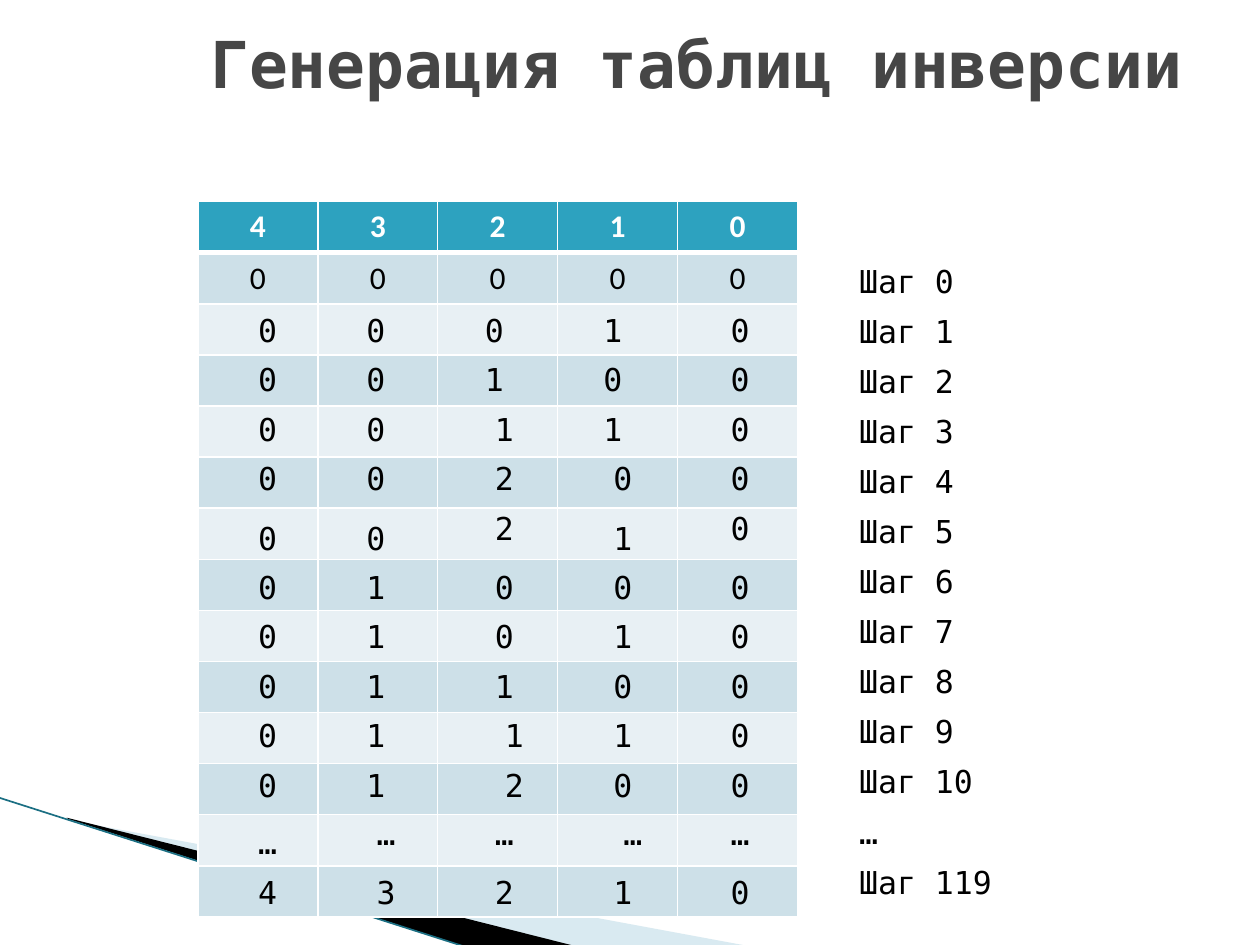
import pptx
import pptx.util
import pptx.dml.color
import pptx.enum.text
import pptx.enum.shapes
from lxml import etree

Inch, Pt = pptx.util.Inches, pptx.util.Pt
RGB = pptx.dml.color.RGBColor
ALIGN, ANCHOR = pptx.enum.text.PP_ALIGN, pptx.enum.text.MSO_ANCHOR
FIT = pptx.enum.text.MSO_AUTO_SIZE

WHITE, BLACK, GREY = RGB(255, 255, 255), RGB(0, 0, 0), RGB(0x46, 0x46, 0x46)
HEAD, BAND, PALE = RGB(0x2D, 0xA2, 0xBF), RGB(0xCD, 0xE0, 0xE8), RGB(0xE8, 0xF0, 0xF4)
SKY, TEAL = RGB(0xA0, 0xCB, 0xDC), RGB(0x1B, 0x6F, 0x83)
MONO = "DejaVu Sans Mono"
NS = "http://schemas.openxmlformats.org/drawingml/2006/main"

TITLE = "Генерация таблиц инверсии"
TOP = "43210"
ZERO = "00000"
# Digits of each step, with the indent of each digit in nudges
STEPS = [
    ("00010", "00000"), ("00100", "00000"), ("00110", "00100"),
    ("00200", "00110"), ("00210", "00110"), ("01000", "00110"),
    ("01010", "00110"), ("01100", "00110"), ("01110", "00210"),
    ("01200", "00210"), ("…" * 5, "01120"), ("43210", "01110"),
]
LABELS = [f"Шаг {n}" for n in range(11)] + ["…", "Шаг 119"]

LEFTS = [1.95, 2.81, 3.75, 4.69, 5.7]
NUDGE, PITCH, START = 0.08, 0.392, 2.42
BOX_W, BOX_H = 0.34, 0.4
WAVES = [
    ([(0.55, 6.51), (5.95, 7.51), (4.56, 7.51), (0.55, 6.5)], SKY, 40),
    ([(0.53, 6.49), (4.57, 7.51), (3.72, 7.52), (0.54, 6.5)], BLACK, 100),
]
BODY = {"name": MONO, "size": Pt(18), "bold": False}
PLAIN = {"name": "Calibri", "size": Pt(18), "bold": False}
BIG = {"name": MONO, "size": Pt(36.9), "bold": True}


def style(run, form, color):
    """Give a run its font values and colour."""
    for key, value in form.items():
        setattr(run.font, key, value)
    run.font.color.rgb = color


def write(slide, area, lines, form=BODY, color=BLACK, wrap=True, gaps=None, **frame):
    """Add a text box with one paragraph a line."""
    text = slide.shapes.add_textbox(*map(Inch, area)).text_frame
    text.word_wrap = wrap
    for key, value in frame.items():
        setattr(text, key, value)
    for i, line in enumerate(lines):
        para = text.paragraphs[0] if i == 0 else text.add_paragraph()
        for key, value in (gaps or {}).items():
            setattr(para, key, value)
        run = para.add_run()
        run.text = line
        style(run, form, color)


def draw_waves(slide):
    """Draw the corner wedges and the line above them."""
    for points, color, alpha in WAVES:
        path = slide.shapes.build_freeform(*map(Inch, points[0]))
        path.add_line_segments([tuple(map(Inch, p)) for p in points[1:]])
        wedge = path.convert_to_shape()
        wedge.shadow.inherit = False
        wedge.fill.solid()
        wedge.fill.fore_color.rgb = color
        wedge.line.fill.background()
        if alpha < 100:
            tint = wedge.fill._xPr.find(f".//{{{NS}}}srgbClr")
            etree.SubElement(tint, f"{{{NS}}}alpha", val=str(alpha * 1000))
    kind = pptx.enum.shapes.MSO_CONNECTOR.STRAIGHT
    edge = slide.shapes.add_connector(kind, *map(Inch, (-0.01, 6.33, 3.71, 7.52)))
    edge.line.color.rgb = TEAL
    edge.line.width = Pt(0.95)
    etree.SubElement(edge._element.spPr, f"{{{NS}}}effectLst")


def rule_cell(cell, base):
    """Put white borders round a cell, with its own width below."""
    props = cell._tc.get_or_add_tcPr()
    for side, width in zip("LRTB", (1, 1, 1, base)):
        line = etree.SubElement(props, f"{{{NS}}}ln{side}", w=str(Pt(width)))
        fill = etree.SubElement(line, f"{{{NS}}}solidFill")
        etree.SubElement(fill, f"{{{NS}}}srgbClr", val=str(WHITE))


def draw_grid(slide):
    """Add the table with its header and its row of zeros."""
    rows, cols = len(STEPS) + 2, len(TOP)
    area = map(Inch, (1.57, 1.6, 4.76, 5.68))
    grid = slide.shapes.add_table(rows, cols, *area).table
    for r in range(rows):
        for c in range(cols):
            cell = grid.cell(r, c)
            rule_cell(cell, 1 if r else 3)
            cell.fill.solid()
            cell.fill.fore_color.rgb = (BAND if r % 2 else PALE) if r else HEAD
            if r < 2:
                para = cell.text_frame.paragraphs[0]
                para.alignment = ALIGN.CENTER
                run = para.add_run()
                run.text = (TOP, ZERO)[r][c]
                style(run, {**PLAIN, "bold": r == 0}, BLACK if r else WHITE)


def find_top(row, col):
    """Give the top of a digit: lower rows drop by one nudge."""
    if row == len(STEPS) - 1:
        return 6.88
    drop = row > 4 or (row == 4 and col in (0, 1, 3))
    if row == 10:
        drop = col == 0
        return 6.48 if drop else 6.41
    return START + PITCH * row + NUDGE * drop


def draw_steps(slide):
    """Lay the digits of each step over the table."""
    for r, (marks, shifts) in enumerate(STEPS):
        for c, (mark, shift) in enumerate(zip(marks, shifts)):
            left = LEFTS[c] + NUDGE * int(shift)
            write(slide, (left, find_top(r, c), BOX_W, BOX_H), [mark],
                  wrap=False, auto_size=FIT.SHAPE_TO_FIT_TEXT)


def main():
    """Build and save the slide."""
    deck = pptx.Presentation()
    deck.slide_width, deck.slide_height = Inch(10), Inch(7.5)
    slide = deck.slides.add_slide(deck.slide_layouts[6])
    draw_waves(slide)
    write(slide, (1.57, 0.3, 8.2, 0.4), [TITLE], BIG, GREY,
          vertical_anchor=ANCHOR.MIDDLE)
    draw_grid(slide)
    draw_steps(slide)
    write(slide, (6.72, 2.03, 1.43, 5.17), LABELS,
          gaps={"space_before": Pt(3), "space_after": Pt(4)},
          auto_size=FIT.SHAPE_TO_FIT_TEXT)
    deck.save("out.pptx")


main()
